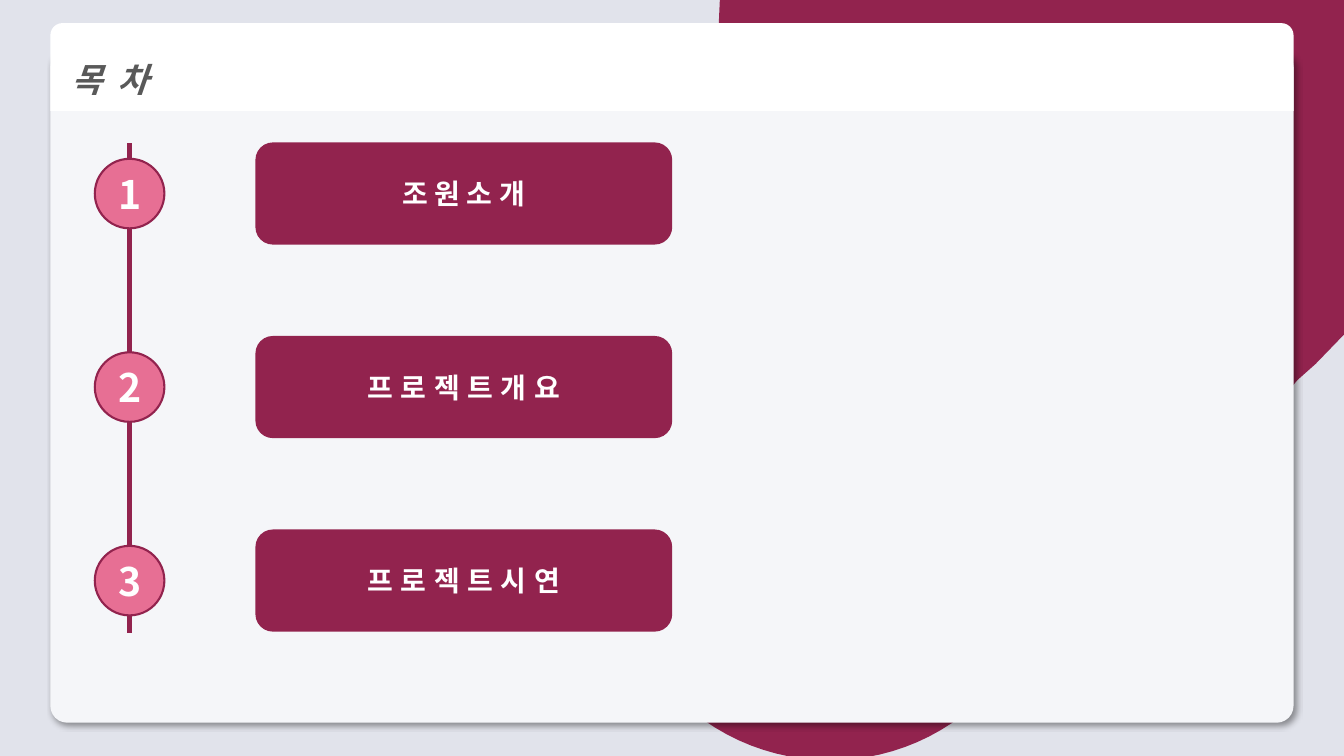
from lxml import etree
from pptx import Presentation
from pptx.dml.color import RGBColor
from pptx.enum.shapes import MSO_CONNECTOR, MSO_SHAPE
from pptx.enum.text import MSO_ANCHOR, PP_ALIGN
from pptx.oxml.ns import qn
from pptx.util import Inches, Pt

ROUND = MSO_SHAPE.ROUNDED_RECTANGLE
TAB = MSO_SHAPE.ROUND_2_SAME_RECTANGLE
OVAL = MSO_SHAPE.OVAL
LINE = MSO_CONNECTOR.STRAIGHT
MIDDLE = MSO_ANCHOR.MIDDLE
LEFT, CENTER = PP_ALIGN.LEFT, PP_ALIGN.CENTER

FONT = "Noto Sans CJK KR"
WINE, PINK, WHITE = "92234E", "E76F94", "FFFFFF"
GREY, PALE, MIST = "595959", "F5F6F9", "E1E3EB"

# (label, letter spacing in points)
TOPICS = [("조 원 소 개", 0), ("프 로 젝 트 개 요", 0.45), ("프 로 젝 트 시 연", 0.45)]

# Each step is one point for a line or three for a curve.
START = (13.33, 0)
BLOB = [
    [(13.33, 3.32)], [(13.05, 3.61)], [(12.87, 3.77)], [(12.82, 3.83)],
    [(12.78, 3.89), (12.73, 3.94), (12.67, 4)],
    [(9.76, 6.91)],
    [(8.97, 7.7), (7.72, 7.75), (6.87, 7.06)],
    [(6.7, 6.91)], [(6.55, 6.75)],
    [(5.86, 5.9), (5.91, 4.64), (6.7, 3.85)],
    [(8.21, 2.35)], [(7.87, 2.01)],
    [(7.38, 1.51), (7.13, 0.86), (7.13, 0.22)],
    [(7.14, 0)],
]


def color(code):
    return RGBColor.from_string(code)


def paint(shape, fill, line=None, width=1):
    shape.shadow.inherit = False
    shape.fill.solid()
    shape.fill.fore_color.rgb = color(fill)
    if line:
        shape.line.color.rgb = color(line)
        shape.line.width = Pt(width)
    else:
        shape.line.fill.background()


def add_form(slide, kind, box, fill, line=None, width=1, adjust=()):
    shape = slide.shapes.add_shape(kind, *map(Inches, box))
    paint(shape, fill, line, width)
    for i, value in enumerate(adjust):
        shape.adjustments[i] = value
    return shape


def write(shape, text, size, ink=WHITE, align=CENTER, italic=False,
          gap=0, inset=0.1, leading=None):
    frame = shape.text_frame
    frame.word_wrap = True
    frame.vertical_anchor = MIDDLE
    frame.margin_left = frame.margin_right = Inches(inset)
    para = frame.paragraphs[0]
    para.alignment = align
    if leading:
        para.line_spacing = leading
    run = para.add_run()
    run.text = text
    font = run.font
    font.name, font.size = FONT, Pt(size)
    font.bold, font.italic = True, italic
    font.color.rgb = color(ink)
    props = run._r.get_or_add_rPr()
    etree.SubElement(props, qn("a:ea"), typeface=FONT)
    if gap:
        props.set("spc", str(round(gap * 100)))


def curve(points, steps=24):
    """Sample a cubic curve, leaving out its first point."""
    for i in range(1, steps + 1):
        t = i / steps
        u = 1 - t
        parts = (u ** 3, 3 * u * u * t, 3 * u * t * t, t ** 3)
        yield tuple(sum(w * p[axis] for w, p in zip(parts, points)) for axis in (0, 1))


def draw_blob(slide):
    spots, last = [], START
    for step in BLOB:
        spots += curve([last, *step]) if len(step) == 3 else step
        last = step[-1]
    pen = slide.shapes.build_freeform(*map(Inches, START))
    pen.add_line_segments([(Inches(x), Inches(y)) for x, y in spots], close=True)
    paint(pen.convert_to_shape(), WINE)


def cast(shape):
    """Give the shape a soft shadow to the lower right."""
    effects = shape._element.spPr.find(qn("a:effectLst"))
    shade = etree.SubElement(
        effects, qn("a:outerShdw"), blurRad=str(Pt(4)), dist=str(Pt(3)),
        dir="2700000", algn="tl", rotWithShape="0")
    tone = etree.SubElement(shade, qn("a:srgbClr"), val="000000")
    etree.SubElement(tone, qn("a:alpha"), val="40000")


def draw_card(slide, left, top, width, height):
    head = 0.87
    cast(add_form(slide, ROUND, (left, top + 0.27, width, height - 0.27),
                  PALE, adjust=[0.025]))
    bar = add_form(slide, TAB, (left, top, width, head), WHITE, adjust=[0.137, 0])
    write(bar, "목 차", 24, ink=GREY, align=LEFT, italic=True,
          gap=2.7, inset=0.17, leading=1.5)


def draw_topics(slide, left, top, width, height):
    """Place numbered topics down a line at the left of the box."""
    tall, dot, wide = 1, 0.69, 4.12
    pitch = (height - tall) / (len(TOPICS) - 1)
    axis = left + dot / 2
    rail = slide.shapes.add_connector(
        LINE, *map(Inches, (axis, top, axis, top + height + 0.02)))
    rail.line.color.rgb = color(WINE)
    rail.line.width = Pt(3)
    etree.SubElement(rail._element.spPr, qn("a:effectLst"))
    for i, (label, gap) in enumerate(TOPICS):
        y = top + i * pitch
        panel = add_form(slide, ROUND, (left + width - wide, y, wide, tall), WINE, WINE)
        write(panel, label, 20, gap=gap)
        badge = add_form(slide, OVAL, (left, y + (tall - dot) / 2, dot, dot),
                         PINK, WINE, 1.5)
        write(badge, str(i + 1), 28, inset=0)


def main():
    deck = Presentation()
    deck.slide_width, deck.slide_height = Inches(13.33), Inches(7.5)
    slide = deck.slides.add_slide(deck.slide_layouts[6])
    back = slide.background.fill
    back.solid()
    back.fore_color.rgb = color(MIST)
    draw_blob(slide)
    draw_card(slide, 0.5, 0.23, 12.33, 6.94)
    draw_topics(slide, 0.94, 1.42, 5.72, 4.84)
    deck.save("out.pptx")


if __name__ == "__main__":
    main()
